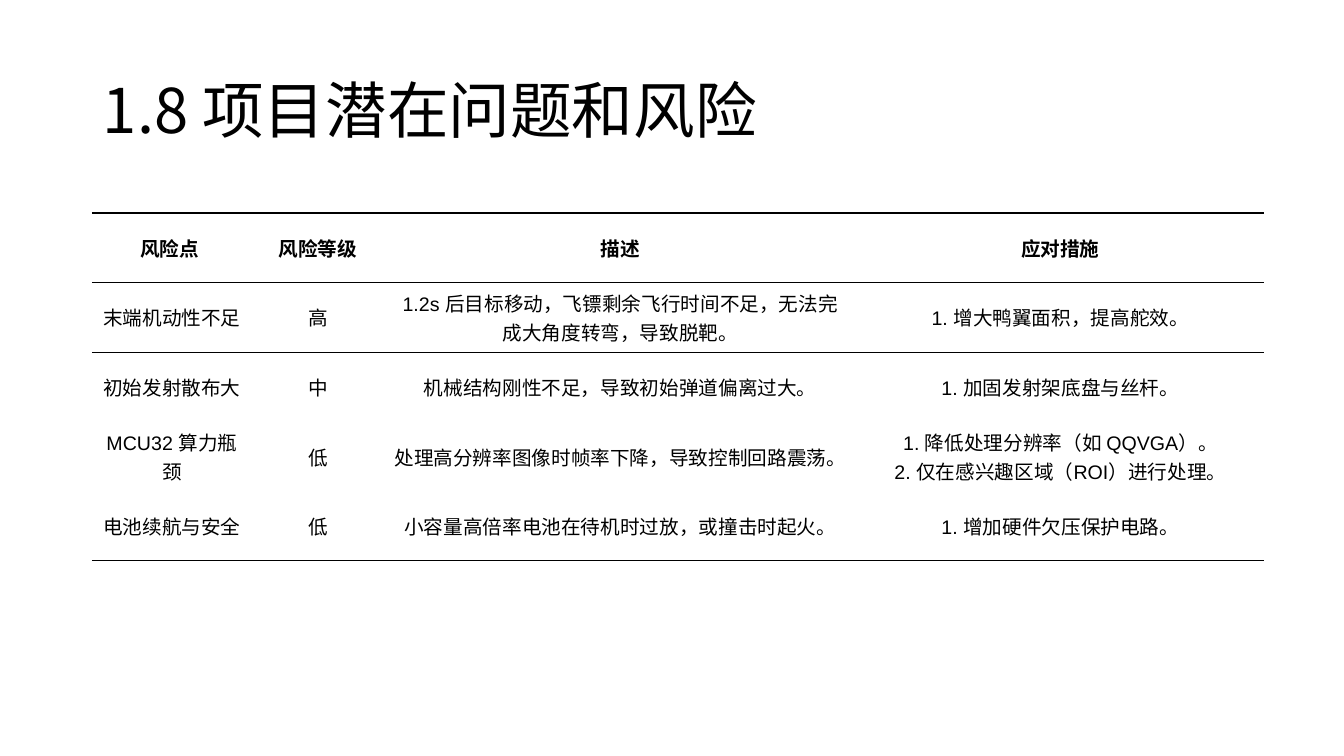
from lxml import etree
from pptx import Presentation
from pptx import util as u
from pptx.dml.color import RGBColor
from pptx.enum import text
from pptx.oxml.ns import qn

TITLE = "1.8 项目潜在问题和风险"
# Each cell is one string; a line break starts a new paragraph.
RISKS = [
    ("风险点 ", "风险等级", "描述", "应对措施"),
    ("末端机动性不足", "高",
     "1.2s 后目标移动，飞镖剩余飞行时间不足，无法完成大角度转弯，导致脱靶。",
     "1. 增大鸭翼面积，提高舵效。"),
    ("初始发射散布大", "中", "机械结构刚性不足，导致初始弹道偏离过大。",
     "1. 加固发射架底盘与丝杆。"),
    ("MCU32 算力瓶颈", "低", "处理高分辨率图像时帧率下降，导致控制回路震荡。",
     "1. 降低处理分辨率（如 QQVGA）。\n2. 仅在感兴趣区域（ROI）进行处理。"),
    ("电池续航与安全", "低", "小容量高倍率电池在待机时过放，或撞击时起火。",
     "1. 增加硬件欠压保护电路。"),
]
RULED_EDGES = {0, 1, 2, 5}  # horizontal edges that carry a line, 0 = table top

TITLE_BOX = (93, 40, 1159, 146)
TABLE_LEFT, TABLE_TOP, TABLE_HEIGHT = 92, 213, 348
COLUMNS = (160, 132, 473, 407)

BLACK = RGBColor(0, 0, 0)
LATIN, CJK = "Arial", "Noto Sans CJK SC"
NO_STYLE = "{2D5ABB26-0587-4C30-8999-92F81FD0307C}"


def px(n):
    return u.Emu(round(n * 914400 / 100.8))


def add_run(p, content, font, size, bold=False):
    r = p.add_run()
    r.text = content
    r.font.name, r.font.size, r.font.bold = font, u.Pt(size), bold
    r.font.color.rgb = BLACK
    east_asian = etree.Element(qn("a:ea"), typeface=CJK)
    r.font._element.find(qn("a:latin")).addnext(east_asian)


def set_borders(cell, top, bottom):
    """Draw the chosen horizontal edges and switch off all others."""
    props = cell._tc.get_or_add_tcPr()
    for side, ruled in (("L", False), ("R", False), ("T", top), ("B", bottom)):
        ln = etree.SubElement(props, qn("a:ln" + side), w=str(u.Pt(1)))
        if ruled:
            fill = etree.SubElement(ln, qn("a:solidFill"))
            etree.SubElement(fill, qn("a:srgbClr"), val=str(BLACK))
        else:
            etree.SubElement(ln, qn("a:noFill"))


def add_title(slide):
    tf = slide.shapes.add_textbox(*map(px, TITLE_BOX)).text_frame
    tf.word_wrap = True
    tf.vertical_anchor = text.MSO_ANCHOR.MIDDLE
    p = tf.paragraphs[0]
    p.line_spacing = 0.92
    add_run(p, TITLE, CJK, 44)


def add_risk_table(slide):
    frame = slide.shapes.add_table(
        len(RISKS), len(COLUMNS), px(TABLE_LEFT), px(TABLE_TOP),
        px(sum(COLUMNS)), px(TABLE_HEIGHT))
    table = frame.table
    table.first_row = table.horz_banding = False
    table._tbl.tblPr.find(qn("a:tableStyleId")).text = NO_STYLE
    for column, width in zip(table.columns, COLUMNS):
        column.width = px(width)
    for i, risk in enumerate(RISKS):
        table.rows[i].height = px(TABLE_HEIGHT / len(RISKS))
        for j, content in enumerate(risk):
            cell = table.cell(i, j)
            cell.vertical_anchor = text.MSO_ANCHOR.MIDDLE
            set_borders(cell, i in RULED_EDGES, i + 1 in RULED_EDGES)
            cell.fill.background()
            tf = cell.text_frame
            for k, line in enumerate(content.split("\n")):
                p = tf.add_paragraph() if k else tf.paragraphs[0]
                p.alignment = text.PP_ALIGN.CENTER
                add_run(p, line, LATIN, 14, bold=i == 0)


def main():
    prs = Presentation()
    prs.slide_width, prs.slide_height = px(1344), px(756)
    slide = prs.slides.add_slide(prs.slide_layouts[6])
    add_title(slide)
    add_risk_table(slide)
    prs.save("out.pptx")


if __name__ == "__main__":
    main()
